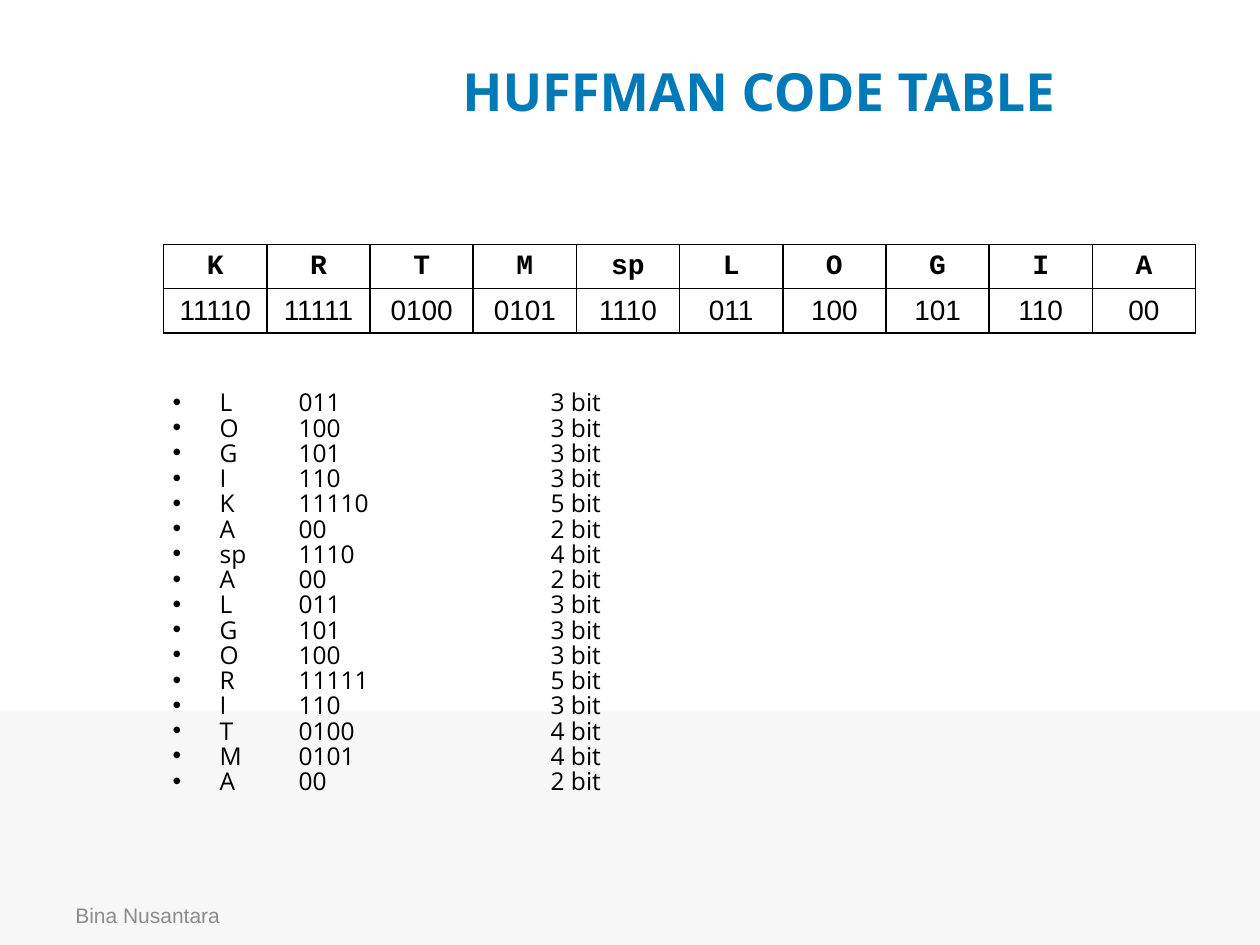
from lxml import etree
from pptx import Presentation
from pptx.dml.color import RGBColor
from pptx.enum.shapes import MSO_SHAPE
from pptx.enum.text import MSO_ANCHOR, PP_ALIGN
from pptx.oxml.ns import qn
from pptx.util import Cm, Pt

RECTANGLE = MSO_SHAPE.RECTANGLE
MIDDLE, TOP = MSO_ANCHOR.MIDDLE, MSO_ANCHOR.TOP
CENTER, LEFT = PP_ALIGN.CENTER, PP_ALIGN.LEFT

COLORS = {"band": "F7F7F7", "footer": "8C8C8C", "title": "0079B8", "ink": "000000"}
FORMATS = {
    "title": {"name": "Open Sans", "size": Pt(30), "bold": True, "color": "title"},
    "footer": {"name": "Arial", "size": Pt(12), "bold": False, "color": "footer"},
    "list": {"name": "Open Sans", "size": Pt(14), "bold": False, "color": "ink"},
    "symbol": {"name": "Courier New", "size": Pt(16), "bold": True, "color": "ink"},
    "code": {"name": "Arial", "size": Pt(16), "bold": False, "color": "ink"},
}
CODES = {
    "K": "11110", "R": "11111", "T": "0100", "M": "0101", "sp": "1110",
    "L": "011", "O": "100", "G": "101", "I": "110", "A": "00",
}
MESSAGE = [*"LOGIKA", "sp", *"ALGORITMA"]


class SlideBuilder:
    """Hold the style and the current slide, and add each kind of element."""

    def __init__(self, slide, colors, formats):
        self.slide = slide
        self.colors = colors
        self.formats = formats

    def color(self, name):
        return RGBColor.from_string(self.colors[name])

    def style(self, font, format_name):
        for attribute, value in self.formats[format_name].items():
            if attribute == "color":
                font.color.rgb = self.color(value)
            else:
                setattr(font, attribute, value)

    def band(self, left, top, width, height, color):
        shape = self.slide.shapes.add_shape(RECTANGLE, Cm(left), Cm(top), Cm(width), Cm(height))
        shape.shadow.inherit = False
        shape.fill.solid()
        shape.fill.fore_color.rgb = self.color(color)
        shape.line.fill.background()

    def text(self, box, lines, format_name, anchor=MIDDLE, alignment=LEFT, bulleted=False):
        shape = self.slide.shapes.add_textbox(*map(Cm, box))
        frame = shape.text_frame
        frame.word_wrap = True
        frame.vertical_anchor = anchor
        for index, line in enumerate(lines):
            paragraph = frame.add_paragraph() if index else frame.paragraphs[0]
            paragraph.text = line
            paragraph.alignment = alignment
            if bulleted:
                self.bullet(paragraph)
                paragraph.line_spacing = 0.8
                paragraph.space_before = Pt(1 if index else 0)
            for run in paragraph.runs:
                self.style(run.font, format_name)

    def bullet(self, paragraph):
        properties = paragraph._p.get_or_add_pPr()
        properties.set("marL", str(Cm(0.95)))
        properties.set("indent", str(Cm(-0.95)))
        etree.SubElement(properties, qn("a:buFont"), typeface="Arial")
        etree.SubElement(properties, qn("a:buChar"), char="•")
        tabs = etree.SubElement(properties, qn("a:tabLst"))
        for stop in (1, 2, 3):
            etree.SubElement(tabs, qn("a:tab"), pos=str(Cm(2.54 * stop)), algn="l")

    def table(self, left, top, column_width, row_height, rows, format_names):
        columns = len(rows[0])
        table = self.slide.shapes.add_table(
            len(rows), columns, Cm(left), Cm(top),
            Cm(column_width * columns), Cm(row_height * len(rows)),
        ).table
        table.first_row = table.horz_banding = False
        for column in table.columns:
            column.width = Cm(column_width)
        for row, values, format_name in zip(table.rows, rows, format_names):
            row.height = Cm(row_height)
            for cell, value in zip(row.cells, values):
                self.cell(cell, value, format_name)

    def cell(self, cell, value, format_name):
        cell.text = value
        cell.vertical_anchor = MIDDLE
        cell.margin_left = cell.margin_right = cell.margin_top = cell.margin_bottom = Cm(0.1)
        paragraph = cell.text_frame.paragraphs[0]
        paragraph.alignment = CENTER
        self.style(paragraph.runs[0].font, format_name)
        properties = cell._tc.get_or_add_tcPr()
        for side in ("a:lnL", "a:lnR", "a:lnT", "a:lnB"):
            line = etree.SubElement(properties, qn(side), w=str(Pt(1)))
            fill = etree.SubElement(line, qn("a:solidFill"))
            etree.SubElement(fill, qn("a:srgbClr"), val=self.colors["ink"])
        cell.fill.background()


def main():
    presentation = Presentation()
    presentation.slide_width, presentation.slide_height = Cm(25.4), Cm(19.05)
    slide = presentation.slides.add_slide(presentation.slide_layouts[6])
    builder = SlideBuilder(slide, COLORS, FORMATS)

    builder.band(0, 14.33, 25.4, 4.72, "band")
    builder.text((1.27, 17.93, 5.92, 1.02), ["Bina Nusantara"], "footer")
    builder.text((3.3, 1.02, 24, 1.6), ["HUFFMAN CODE TABLE"], "title", alignment=CENTER)
    message_lines = [
        f"{symbol}\t{CODES[symbol]}\t\t{len(CODES[symbol])} bit" for symbol in MESSAGE
    ]
    builder.text((3.23, 7.8, 24, 10.6), message_lines, "list", anchor=TOP, bulleted=True)
    builder.table(3.3, 4.93, 2.08, 0.89, [list(CODES), list(CODES.values())], ["symbol", "code"])

    presentation.save("out.pptx")


if __name__ == "__main__":
    main()
